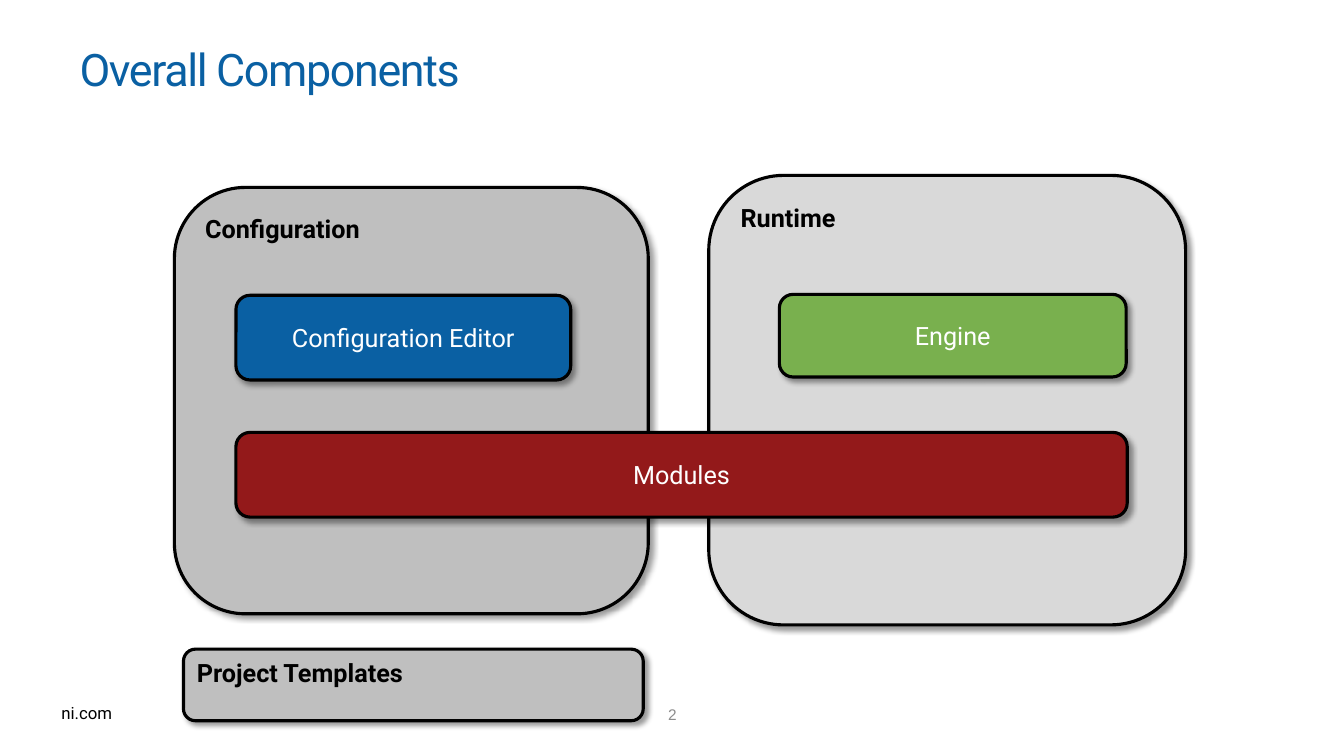
import pptx
import pptx.dml.color
import pptx.enum.shapes
import pptx.enum.text
import pptx.oxml
import pptx.oxml.ns
import pptx.util

PX = 9144
COLORS = {
    "black": "000000",
    "white": "FFFFFF",
    "blue": "0A60A3",
    "green": "79B04E",
    "red": "93191A",
    "gray": "BFBFBF",
    "light": "D9D9D9",
    "number": "8C8C8C",
}
ALIGN = pptx.enum.text.PP_ALIGN
ANCHOR = pptx.enum.text.MSO_ANCHOR


def px(*lengths):
    """Turn pixel lengths into EMU."""
    return [pptx.util.Emu(n * PX) for n in lengths]


def rgb(name):
    """Look up a named colour."""
    return pptx.dml.color.RGBColor.from_string(COLORS[name])


def write(tf, text, size=18, color="black", font="Roboto", bold=False,
          align=ALIGN.LEFT, anchor=ANCHOR.TOP, wrap=True, spacing=0):
    """Fill a text frame with one formatted line."""
    tf.word_wrap = wrap
    tf.vertical_anchor = anchor
    p = tf.paragraphs[0]
    p.alignment = align
    r = p.add_run()
    r.text = text
    r.font.size = pptx.util.Pt(size)
    r.font.name = font
    r.font.bold = bold
    r.font.color.rgb = rgb(color)
    if spacing:
        r.font._element.set("spc", str(spacing * 100))


def add_label(s, box, text, **style):
    """Add a text box."""
    write(s.shapes.add_textbox(*px(*box)).text_frame, text, **style)


def add_shadow(sp):
    """Give a shape a soft shadow to the lower right."""
    sp.shadow.inherit = False
    effects = sp._element.spPr.find(pptx.oxml.ns.qn("a:effectLst"))
    effects.append(pptx.oxml.parse_xml(
        f'<a:outerShdw {pptx.oxml.ns.nsdecls("a")} blurRad="50800" dist="38100" '
        'dir="2700000" algn="tl" rotWithShape="0">'
        f'<a:srgbClr val="{COLORS["black"]}"><a:alpha val="40000"/></a:srgbClr>'
        '</a:outerShdw>'))


def add_block(s, box, fill, text, **style):
    """Add a rounded, outlined and shadowed block with text."""
    kind = pptx.enum.shapes.MSO_SHAPE.ROUNDED_RECTANGLE
    sp = s.shapes.add_shape(kind, *px(*box))
    sp.fill.solid()
    sp.fill.fore_color.rgb = rgb(fill)
    sp.line.color.rgb = rgb("black")
    sp.line.width = pptx.util.Pt(2.25)
    add_shadow(sp)
    write(sp.text_frame, text, **style)


def add_group_block(s, box, fill, text):
    """Add a gray block with a bold heading at its top left."""
    add_block(s, box, fill, text, bold=True)


def add_component(s, box, fill, text):
    """Add a coloured block with a centred white name."""
    add_block(s, box, fill, text, color="white", align=ALIGN.CENTER,
              anchor=ANCHOR.MIDDLE)


def main():
    """Build the slide and save it."""
    prs = pptx.Presentation()
    prs.slide_width, prs.slide_height = px(1333, 750)
    s = prs.slides.add_slide(prs.slide_layouts[6])
    add_label(s, (641, 694, 52, 30), "2", size=11, color="number",
              font="Arial", align=ALIGN.CENTER, anchor=ANCHOR.MIDDLE)
    add_label(s, (51, 692, 71, 30), "ni.com", size=12, wrap=False)
    add_label(s, (69, 16, 1191, 105), "Overall Components", size=32,
              color="blue", anchor=ANCHOR.MIDDLE, spacing=-1)
    add_group_block(s, (173, 186, 470, 423), "gray", "Configuration")
    add_group_block(s, (703, 174, 473, 446), "light", "Runtime")
    add_component(s, (773, 292, 344, 82), "green", "Engine")
    add_component(s, (234, 293, 332, 84), "blue", "Configuration Editor")
    add_component(s, (234, 429, 884, 84), "red", "Modules")
    add_group_block(s, (182, 644, 456, 71), "gray", "Project Templates")
    prs.save("out.pptx")


if __name__ == "__main__":
    main()
